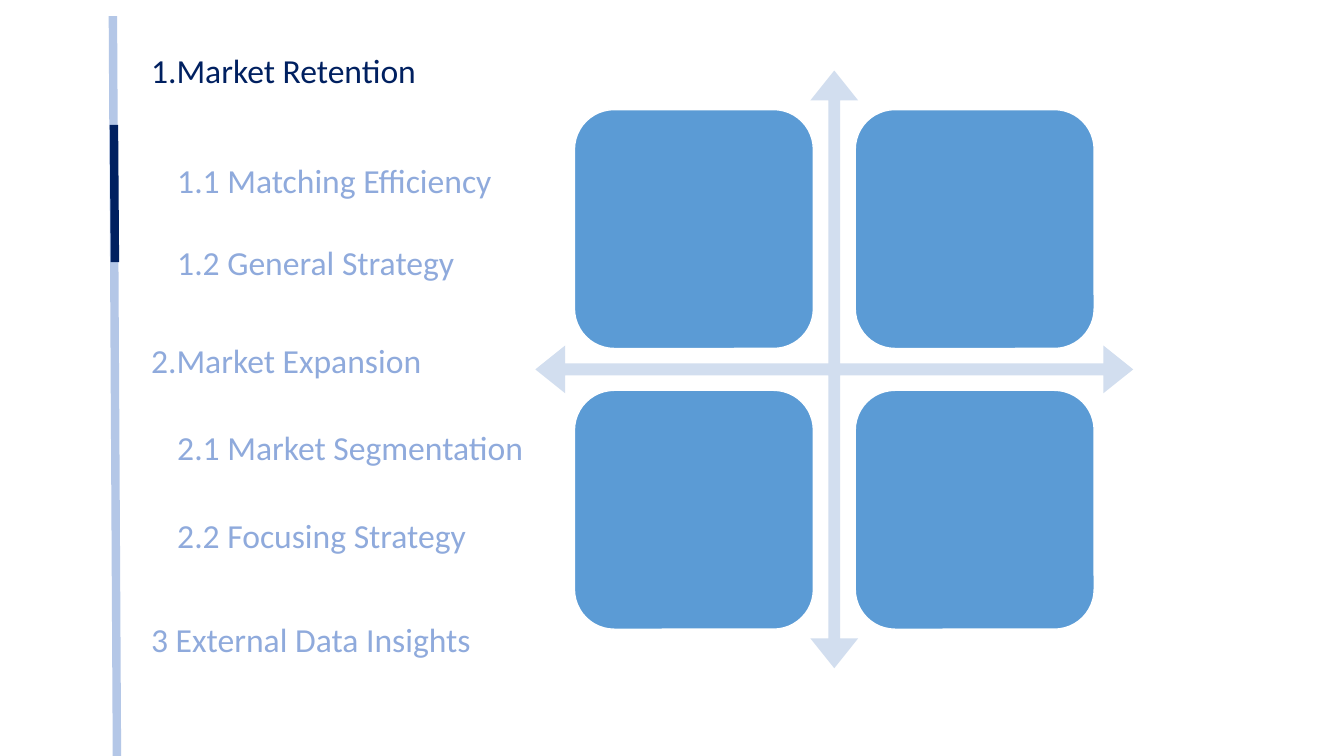
from pptx import Presentation
from pptx.dml.color import RGBColor
from pptx.enum.shapes import MSO_CONNECTOR, MSO_SHAPE
from pptx.oxml.ns import qn
from pptx.util import Inches, Pt
from lxml import etree

STRAIGHT = MSO_CONNECTOR.STRAIGHT
QUAD_ARROW = MSO_SHAPE.QUAD_ARROW
ROUNDED = MSO_SHAPE.ROUNDED_RECTANGLE

NAVY = RGBColor(0x00, 0x20, 0x60)
PALE_BLUE = RGBColor(0xB4, 0xC7, 0xE7)
SOFT_BLUE = RGBColor(0x8F, 0xAA, 0xDC)
ARROW_BLUE = RGBColor(0xD2, 0xDE, 0xEF)
TILE_BLUE = RGBColor(0x5B, 0x9B, 0xD5)
WHITE = RGBColor(0xFF, 0xFF, 0xFF)

deck = Presentation()
deck.slide_width = Inches(13.33)
deck.slide_height = Inches(7.5)
page = deck.slides.add_slide(deck.slide_layouts[6])

rail_parts = [
    (1.12, 0.16, 1.16, 7.5, PALE_BLUE),
    (1.13, 1.24, 1.14, 2.6, NAVY),
]
for x1, y1, x2, y2, color in rail_parts:
    rail = page.shapes.add_connector(
        STRAIGHT, Inches(x1), Inches(y1), Inches(x2), Inches(y2))
    rail.line.color.rgb = color
    rail.line.width = Pt(6)
    etree.SubElement(rail._element.spPr, qn("a:effectLst"))

SECTION_LEFT = 1.4
TOPIC_LEFT = 1.66
agenda = [
    ("1.Market Retention", SECTION_LEFT, 0.45, NAVY),
    ("1.1 Matching Efficiency", TOPIC_LEFT, 1.54, SOFT_BLUE),
    ("1.2 General Strategy", TOPIC_LEFT, 2.35, SOFT_BLUE),
    ("2.Market Expansion", SECTION_LEFT, 3.32, SOFT_BLUE),
    ("2.1 Market Segmentation", TOPIC_LEFT, 4.19, SOFT_BLUE),
    ("2.2 Focusing Strategy", TOPIC_LEFT, 5.06, SOFT_BLUE),
    ("3 External Data Insights", SECTION_LEFT, 6.09, SOFT_BLUE),
]
for wording, left, top, color in agenda:
    box = page.shapes.add_textbox(
        Inches(left), Inches(top), Inches(4.44), Inches(0.5))
    box.text_frame.word_wrap = True
    box.text_frame.text = wording
    span = box.text_frame.paragraphs[0].runs[0]
    span.font.name = "Calibri"
    span.font.size = Pt(24)
    span.font.color.rgb = color

MATRIX_LEFT, MATRIX_TOP, MATRIX_SIZE = 5.31, 0.7, 5.93
TILE_SIZE, TILE_PITCH = 2.37, 2.785
TILE_INSET = (MATRIX_SIZE - TILE_PITCH - TILE_SIZE) / 2

axes = page.shapes.add_shape(
    QUAD_ARROW, Inches(MATRIX_LEFT), Inches(MATRIX_TOP),
    Inches(MATRIX_SIZE), Inches(MATRIX_SIZE))
for index, value in enumerate((0.02, 0.04, 0.05)):
    axes.adjustments[index] = value
axes.shadow.inherit = False
axes.fill.solid()
axes.fill.fore_color.rgb = ARROW_BLUE
axes.line.fill.background()

for row in range(2):
    for column in range(2):
        tile = page.shapes.add_shape(
            ROUNDED,
            Inches(MATRIX_LEFT + TILE_INSET + column * TILE_PITCH),
            Inches(MATRIX_TOP + TILE_INSET + row * TILE_PITCH),
            Inches(TILE_SIZE), Inches(TILE_SIZE))
        tile.shadow.inherit = False
        tile.fill.solid()
        tile.fill.fore_color.rgb = TILE_BLUE
        tile.line.color.rgb = WHITE
        tile.line.width = Pt(1)

deck.save("out.pptx")
